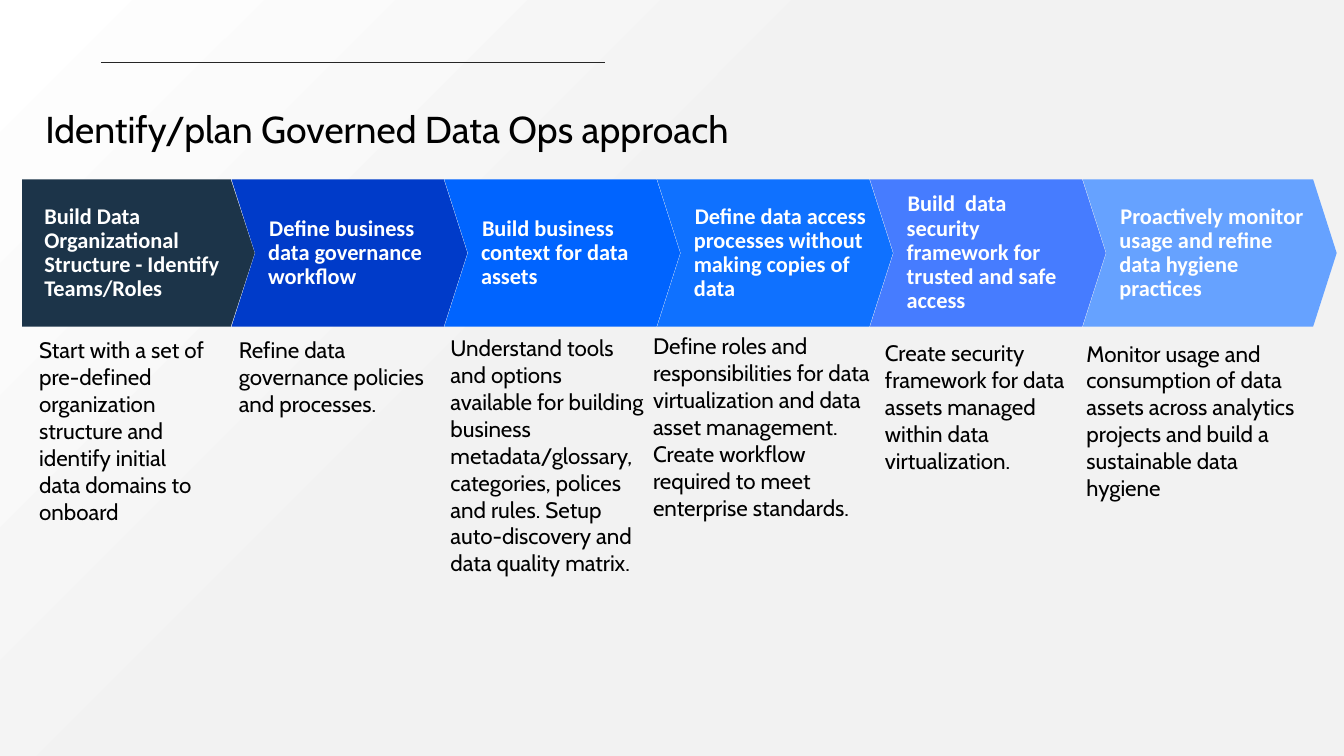
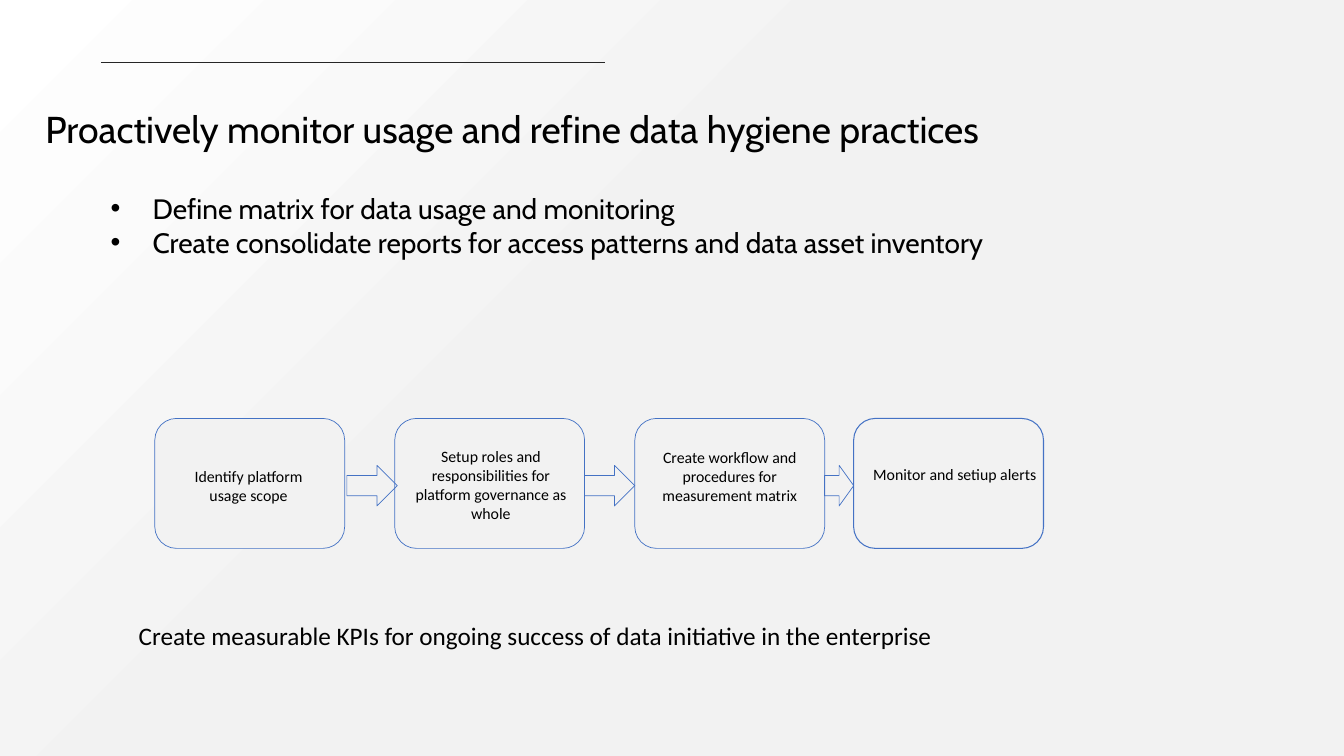
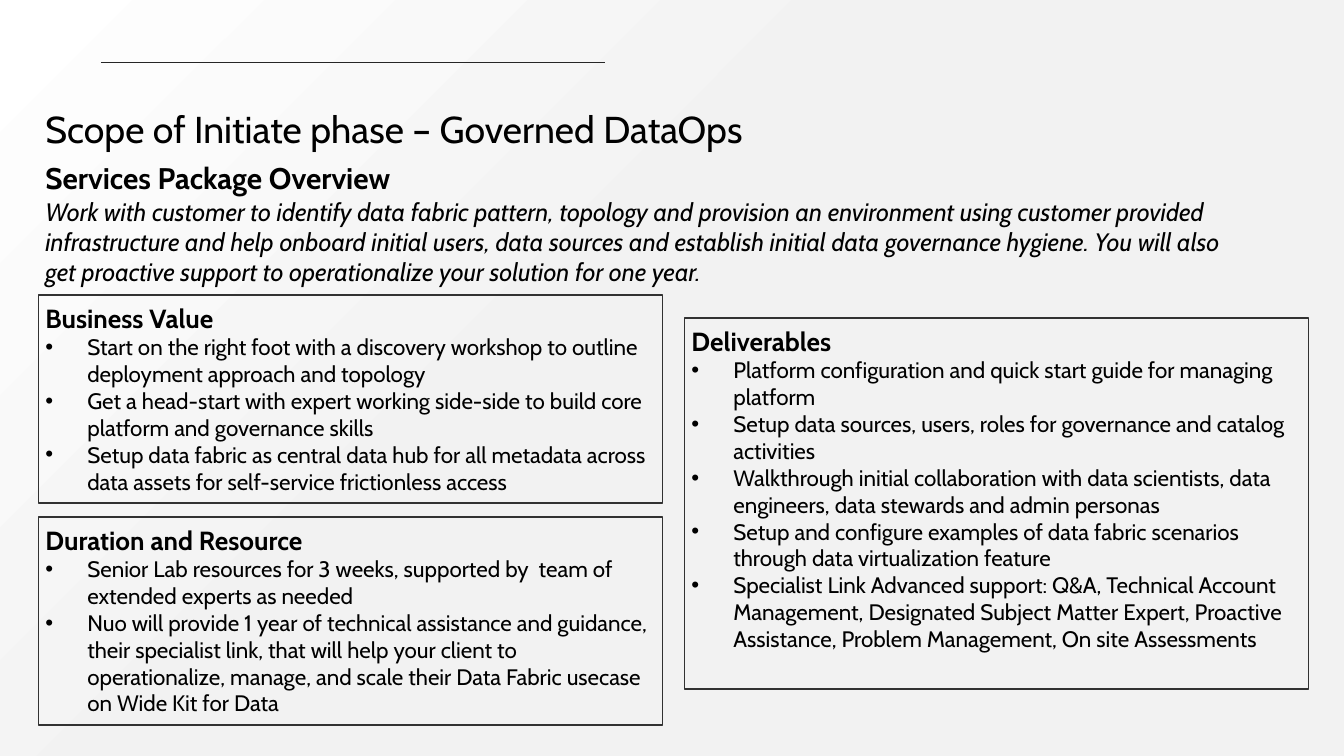
"""Build three slides on planning, monitoring and scoping governed data operations."""
from lxml.etree import SubElement
from pptx import Presentation
from pptx.dml.color import RGBColor
from pptx.enum.shapes import MSO_CONNECTOR, MSO_SHAPE
from pptx.enum.text import MSO_ANCHOR, PP_ALIGN
from pptx.oxml.ns import qn
from pptx.util import Pt

BLACK = RGBColor(0x00, 0x00, 0x00)
WHITE = RGBColor(0xFF, 0xFF, 0xFF)
PALE_GREY = RGBColor(0xF2, 0xF2, 0xF2)
RULE_GREY = RGBColor(0x26, 0x26, 0x26)
FRAME_GREY = RGBColor(0x32, 0x32, 0x32)
FLOW_BLUE = RGBColor(0x44, 0x72, 0xC4)
NAVY = RGBColor(0x1C, 0x34, 0x49)
STEP_BLUES = [
    RGBColor(0x00, 0x3B, 0xC9),
    RGBColor(0x00, 0x64, 0xFF),
    RGBColor(0x0F, 0x71, 0xFF),
    RGBColor(0x46, 0x7C, 0xFF),
    RGBColor(0x66, 0xA2, 0xFF),
]

TITLE = {"name": "Cabin", "size": Pt(26.7)}
BODY = {"name": "Cabin", "size": Pt(16)}
BULLET = {"name": "Cabin", "size": Pt(20)}
OVERVIEW = {"name": "Cabin", "size": Pt(21.3), "bold": True}
SUMMARY = {"name": "Cabin", "size": Pt(18), "italic": True}
HEADING = {"name": "Cabin", "size": Pt(18.7), "bold": True}
STEP = {"name": "Calibri", "size": Pt(16), "bold": True}
FLOW = {"name": "Calibri", "size": Pt(11.3)}
CLOSING = {"name": "Calibri", "size": Pt(18)}
TIGHT = (5, 5, 5, 5)
LOOSE = (7.2, 3.6, 7.2, 3.6)


def write(box, lines, insets=TIGHT, color=BLACK, align=PP_ALIGN.LEFT,
          anchor=MSO_ANCHOR.TOP, spacing=None, indents=(0, 0)):
    """Fill a box with (text, format, bulleted) lines."""
    frame = box.text_frame
    frame.word_wrap = True
    frame.vertical_anchor = anchor
    for side, inset in zip(("left", "top", "right", "bottom"), insets):
        setattr(frame, f"margin_{side}", Pt(inset))
    for number, (text, format_values, bulleted) in enumerate(lines):
        para = frame.add_paragraph() if number else frame.paragraphs[0]
        para.alignment = align
        para.line_spacing = spacing
        margin, first_line = (30, -30) if bulleted else indents
        properties = para._p.get_or_add_pPr()
        properties.set("marL", str(Pt(margin)))
        properties.set("indent", str(Pt(first_line)))
        if bulleted:
            SubElement(properties, qn("a:buFont")).set("typeface", "Arial")
            SubElement(properties, qn("a:buChar")).set("char", "•")
        span = para.add_run()
        span.text = text
        span.font.color.rgb = color
        for name, value in format_values.items():
            setattr(span.font, name, value)


def add_page(title):
    """Add a blank page with the shared rule and title."""
    page = deck.slides.add_slide(deck.slide_layouts[6])
    rule = page.shapes.add_connector(MSO_CONNECTOR.STRAIGHT, Pt(72), Pt(44.6), Pt(432), Pt(44.6))
    rule.line.color.rgb = RULE_GREY
    rule.line.width = Pt(1.25)
    SubElement(rule._element.spPr, qn("a:effectLst"))
    box = page.shapes.add_textbox(Pt(27.4), Pt(70.6), Pt(807), Pt(41.8))
    write(box, [(title, TITLE, False)])
    return page


deck = Presentation()
deck.slide_width = Pt(960)
deck.slide_height = Pt(540)
backdrop = deck.slide_master.background.fill
backdrop.gradient()
backdrop.gradient_angle = 315
for stop, color, position in zip(backdrop.gradient_stops, (WHITE, PALE_GREY), (0, 0.44)):
    stop.color.rgb = color
    stop.position = position

page = add_page("Identify/plan Governed Data Ops approach")
step_top, step_height, step_pitch = 128.2, 105.1, 152
builder = page.shapes.build_freeform(Pt(15.8), Pt(step_top))
builder.add_line_segments([
    (Pt(164.9), Pt(step_top)),
    (Pt(182), Pt(step_top + step_height / 2)),
    (Pt(164.9), Pt(step_top + step_height)),
    (Pt(15.8), Pt(step_top + step_height)),
])
steps = [(builder.convert_to_shape(), NAVY,
          "Build Data Organizational Structure - Identify Teams/Roles", (6.5, 0))]
step_texts = [
    "Define business data governance workflow",
    "Build business context for data assets",
    "Define data access processes without making copies of data",
    "Build  data security framework for trusted and safe access",
    "Proactively monitor usage and refine data hygiene practices",
]
for number, (text, color) in enumerate(zip(step_texts, STEP_BLUES)):
    width = 181.4 if text == step_texts[-1] else 168.5
    chevron = page.shapes.add_shape(MSO_SHAPE.CHEVRON, Pt(165.4 + number * step_pitch),
                                    Pt(step_top), Pt(width), Pt(step_height))
    chevron.adjustments[0] = 0.16
    steps.append((chevron, color, text, (0, 0.7)))
for shape, color, text, indents in steps:
    shape.shadow.inherit = False
    shape.fill.solid()
    shape.fill.fore_color.rgb = color
    shape.line.fill.background()
    write(shape, [(text, STEP, False)], insets=(9.4, 0, 0, 0), color=WHITE,
          anchor=MSO_ANCHOR.MIDDLE, spacing=0.9, indents=indents)

details = [
    (23, 235.4, 133.2, 234,
     "Start with a set of pre-defined organization structure and identify initial data domains to onboard"),
    (165.6, 235.4, 149, 298, "Refine data governance policies and processes."),
    (316.8, 234, 149, 219,
     "Understand tools and options available for building business metadata/glossary, categories, "
     "polices and rules. Setup auto-discovery and data quality matrix."),
    (461.5, 232.6, 168.5, 307,
     "Define roles and responsibilities for data virtualization and data asset management. "
     "Create workflow required to meet enterprise standards."),
    (627.1, 237.6, 144, 199.4,
     "Create security framework for data assets managed within data virtualization."),
    (771.1, 237.6, 161.3, 259,
     "Monitor usage and consumption of data assets across analytics projects and build a "
     "sustainable data hygiene"),
]
for left, top, width, height, text in details:
    box = page.shapes.add_textbox(Pt(left), Pt(top), Pt(width), Pt(height))
    write(box, [(text, BODY, False)])

page = add_page("Proactively monitor usage and refine data hygiene practices")
box = page.shapes.add_textbox(Pt(72), Pt(133.2), Pt(736.6), Pt(94.3))
write(box, [
    ("Define matrix for data usage and monitoring", BULLET, True),
    ("Create consolidate reports for access patterns and data asset inventory", BULLET, True),
], insets=LOOSE)

stages = [
    (110.6, 0.5, (129.6, 329.8, 95.8, 34.6), "Identify platform usage scope"),
    (282, 0.5, (287.3, 315.4, 126.7, 61.9),
     "Setup roles and responsibilities for platform governance as whole"),
    (453.5, 0.5, (465.8, 316.1, 110.9, 48.2),
     "Create workflow and procedures for measurement matrix"),
    (609.8, 0.75, (614.2, 328.3, 135.4, 20.9), "Monitor and setiup alerts"),
]
for left, weight, label_place, text in stages:
    stage = page.shapes.add_shape(MSO_SHAPE.ROUNDED_RECTANGLE, Pt(left), Pt(298.9), Pt(135.6), Pt(92.8))
    stage.shadow.inherit = False
    stage.fill.solid()
    stage.fill.fore_color.rgb = PALE_GREY
    stage.line.color.rgb = FLOW_BLUE
    stage.line.width = Pt(weight)
    label = page.shapes.add_textbox(*map(Pt, label_place))
    write(label, [(text, FLOW, False)], insets=LOOSE, align=PP_ALIGN.CENTER)
for left, width in ((247.8, 36), (417.5, 36), (589, 20.8)):
    arrow = page.shapes.add_shape(MSO_SHAPE.RIGHT_ARROW, Pt(left), Pt(332.4), Pt(width), Pt(29))
    arrow.shadow.inherit = False
    arrow.fill.background()
    arrow.line.color.rgb = FLOW_BLUE
    arrow.line.width = Pt(0.5)
box = page.shapes.add_textbox(Pt(92), Pt(439.2), Pt(756.7), Pt(29))
write(box, [("Create measurable KPIs for ongoing success of data initiative in the enterprise",
             CLOSING, False)], insets=LOOSE)

page = add_page("Scope of Initiate phase – Governed DataOps")
box = page.shapes.add_textbox(Pt(27.4), Pt(109.4), Pt(864), Pt(130.3))
write(box, [
    ("Services Package Overview", OVERVIEW, False),
    ("Work with customer to identify data fabric pattern, topology and provision an environment "
     "using customer provided infrastructure and help onboard initial users, data sources and "
     "establish initial data governance hygiene. You will also get proactive support to "
     "operationalize your solution for one year.", SUMMARY, False),
])
panels = [
    (27.4, 210.7, 148.6, "Business Value", [
        "Start on the right foot with a discovery workshop to outline deployment approach and topology",
        "Get a head-start with expert working side-side to build core platform and governance skills",
        "Setup data fabric as central data hub for all metadata across data assets for self-service "
        "frictionless access",
    ]),
    (488.9, 227.2, 265, "Deliverables", [
        "Platform configuration and quick start guide for managing platform",
        "Setup data sources, users, roles for governance and catalog activities",
        "Walkthrough initial collaboration with data scientists, data engineers, data stewards and "
        "admin personas",
        "Setup and configure examples of data fabric scenarios through data virtualization feature",
        "Specialist Link Advanced support: Q&A, Technical Account Management, Designated Subject "
        "Matter Expert, Proactive Assistance, Problem Management, On site Assessments",
    ]),
    (27.4, 369.2, 148.6, "Duration and Resource", [
        "Senior Lab resources for 3 weeks, supported by  team of extended experts as needed",
        "Nuo will provide 1 year of technical assistance and guidance, their specialist link, that "
        "will help your client to operationalize, manage, and scale their Data Fabric usecase on "
        "Wide Kit for Data",
    ]),
]
for left, top, height, heading, points in panels:
    panel = page.shapes.add_shape(MSO_SHAPE.RECTANGLE, Pt(left), Pt(top), Pt(445.7), Pt(height))
    panel.shadow.inherit = False
    panel.fill.background()
    panel.line.color.rgb = FRAME_GREY
    panel.line.width = Pt(1)
    write(panel, [(heading, HEADING, False)] + [(point, BODY, True) for point in points])

deck.save("out.pptx")
